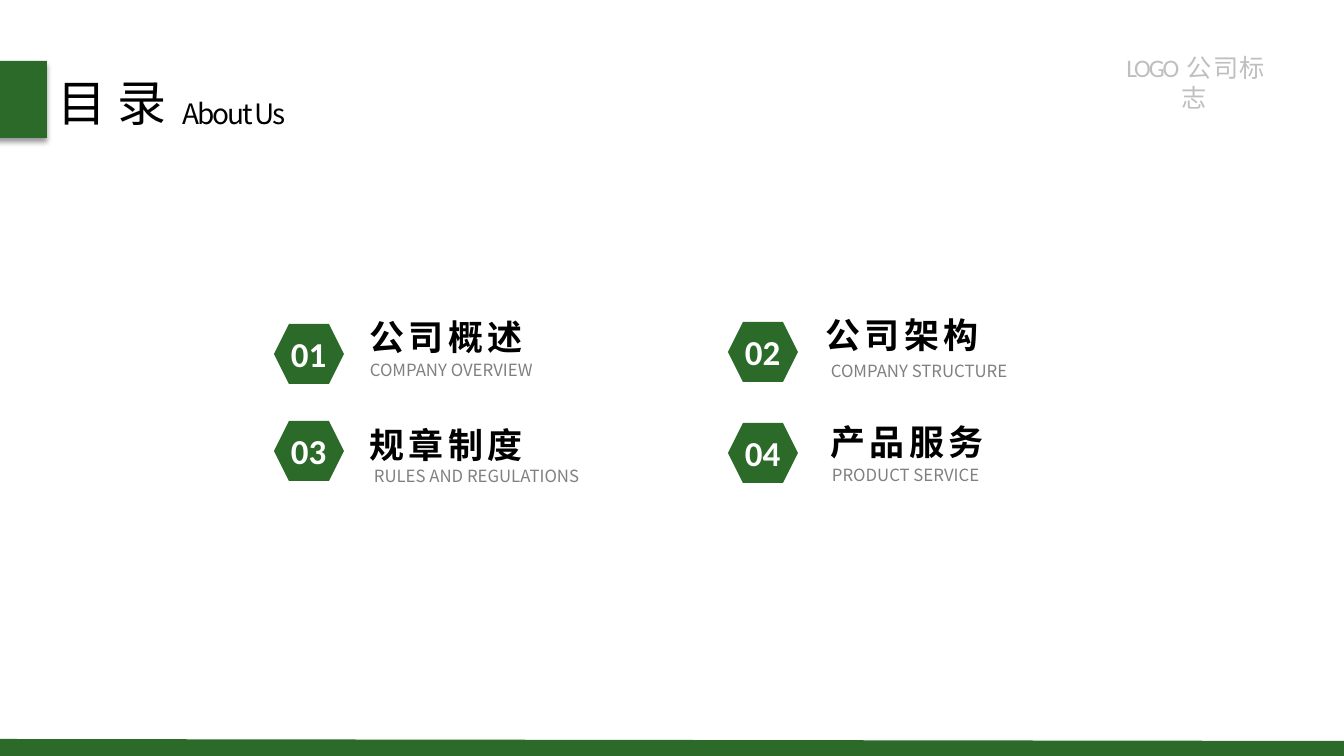
from lxml.etree import SubElement
from pptx import Presentation
from pptx.dml.color import RGBColor
from pptx.enum.shapes import MSO_SHAPE
from pptx.enum.text import MSO_AUTO_SIZE, PP_ALIGN
from pptx.oxml.ns import qn
from pptx.util import Pt

PX = 914400 / 100.8
CJK, LATIN = "Noto Sans CJK SC", "Calibri"
GREEN = "2B6A28"

# number, hexagon (x, y), title, title (x, y, w), subtitle, subtitle (x, y, w), subtitle wraps
ITEMS = [
    ("01", (274, 324), "公司概述", (360, 311, 193), "COMPANY OVERVIEW", (360, 355, 280), True),
    ("02", (728, 322), "公司架构", (816, 309, 204), "COMPANY STRUCTURE", (821, 356, 210), False),
    ("03", (274, 421), "规章制度", (360, 419, 242), "RULES AND REGULATIONS", (364, 461, 238), False),
    ("04", (728, 423), "产品服务", (821, 416, 210), "PRODUCT SERVICE", (822, 460, 174), False),
]
FOOTER = [(0, 739), (1344, 741), (1344, 756), (0, 756)]

HEADING = dict(size=35, name=CJK, color="000000")
ENGLISH = dict(size=20, name=CJK, color="000000", spc=-150)
LOGO = dict(size=18, name=LATIN, color="BFBFBF", spc=-150)
LOGO_GAP = LOGO | dict(spc=100)
TITLE = dict(size=25, name=CJK, color="000000", bold=True, spc=300)
SUBTITLE = dict(size=12, name=CJK, color="808080")
NUMBER = dict(size=25, name=LATIN, color="FFFFFF", bold=True)


def px(*values):
    return [round(v * PX) for v in values]


def rgb(color):
    return RGBColor.from_string(color)


def paint(sp, color):
    sp.shadow.inherit = False
    sp.fill.solid()
    sp.fill.fore_color.rgb = rgb(color)
    sp.line.fill.background()
    return sp


def add_text(shapes, box, runs, align=PP_ALIGN.LEFT, wrap=False, insets=None):
    """Add a one-paragraph text box; runs is a list of (text, format)."""
    tf = shapes.add_textbox(*px(*box)).text_frame
    tf.word_wrap = wrap
    tf.auto_size = MSO_AUTO_SIZE.SHAPE_TO_FIT_TEXT
    if insets:
        tf.margin_left = tf.margin_right = px(insets[0])[0]
        tf.margin_top = tf.margin_bottom = px(insets[1])[0]
    p = tf.paragraphs[0]
    p.alignment = align
    for text, fmt in runs:
        r = p.add_run()
        r.text = text
        r.font.color.rgb = rgb(fmt["color"])
        values = dict(size=Pt(fmt["size"]), name=fmt["name"], bold=fmt.get("bold", False))
        for key, value in values.items():
            setattr(r.font, key, value)
        rPr = r.font._element
        rPr.set("spc", str(fmt.get("spc", 0)))
        SubElement(rPr, qn("a:ea")).set("typeface", CJK)


def add_shadow(sp):
    effects = sp._element.spPr.find(qn("a:effectLst"))
    shadow = SubElement(effects, qn("a:outerShdw"), blurRad=str(Pt(4)), dist=str(Pt(3)),
                        dir="5400000", algn="t", rotWithShape="0")
    color = SubElement(shadow, qn("a:srgbClr"), val="000000")
    SubElement(color, qn("a:alpha"), val="40000")


prs = Presentation()
prs.slide_width, prs.slide_height = px(1344, 756)
s = prs.slides.add_slide(prs.slide_layouts[6])

header = s.shapes.add_group_shape().shapes
add_text(header, (174, 93, 120, 39), [("About Us", ENGLISH)], PP_ALIGN.CENTER, insets=(5, 3))
add_text(header, (45, 68, 134, 70), [("目 录", HEADING)], PP_ALIGN.CENTER)
add_text(s.shapes, (1103, 47, 183, 40),
         [("LOGO", LOGO), (" ", LOGO_GAP), ("公 司 标 志", LOGO)], PP_ALIGN.CENTER, wrap=True)

for number, (x, y), title, title_at, subtitle, subtitle_at, wrap in ITEMS:
    item = s.shapes.add_group_shape().shapes
    add_text(item, (*title_at, 52), [(title, TITLE)], wrap=True)
    add_text(item, (*subtitle_at, 30), [(subtitle, SUBTITLE)], wrap=wrap)
    paint(item.add_shape(MSO_SHAPE.HEXAGON, *px(x, y, 70, 60)), GREEN)
    add_text(item, (x + 7, y + 4, 56, 52), [(number, NUMBER)])

tab = paint(s.shapes.add_shape(MSO_SHAPE.RECTANGLE, *px(-5, 61, 52, 77)), GREEN)
add_shadow(tab)

outline = s.shapes.build_freeform(*FOOTER[0], scale=PX)
outline.add_line_segments(FOOTER[1:], close=True)
paint(outline.convert_to_shape(), GREEN)

prs.save("out.pptx")
